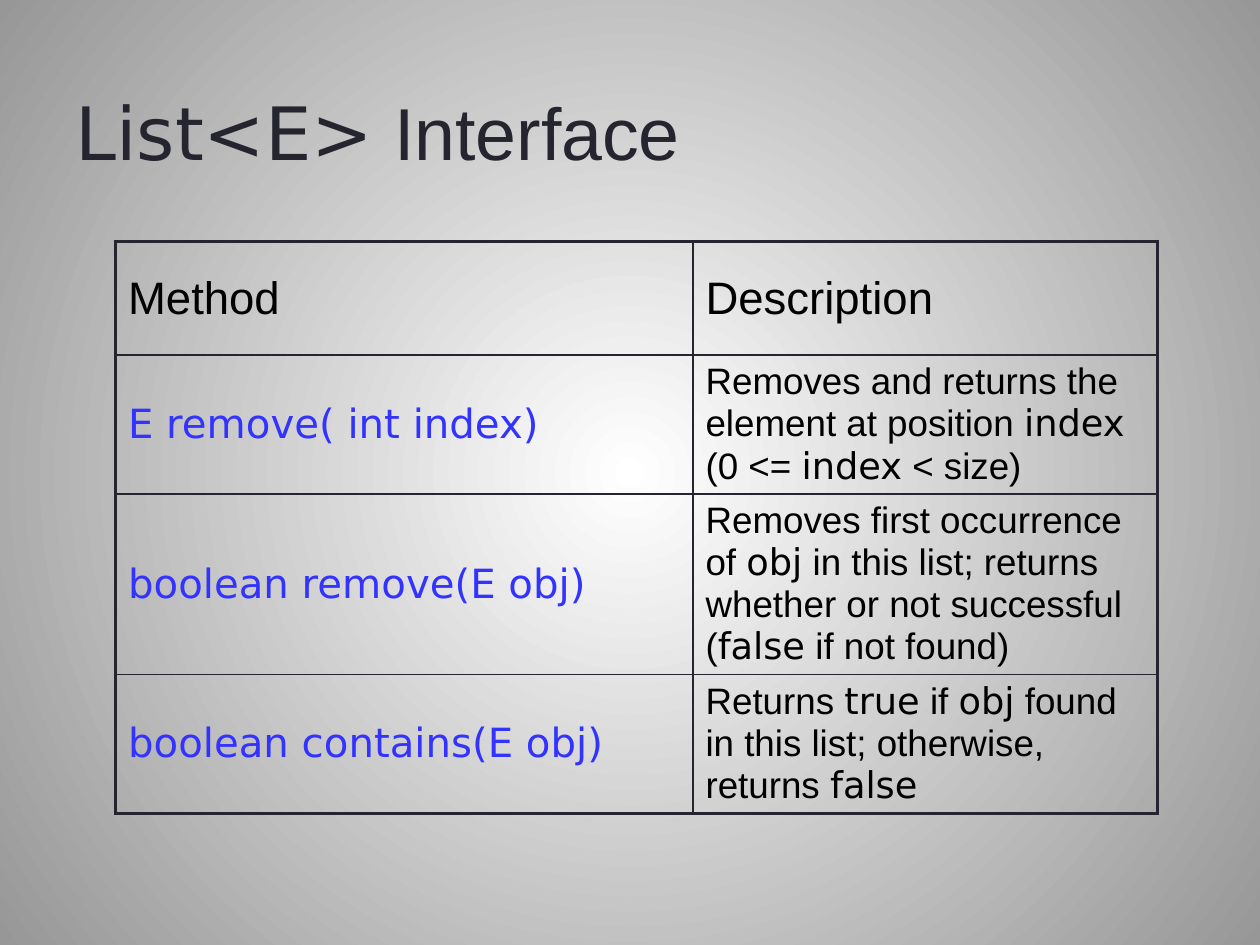
import pptx
import pptx.dml.color
import pptx.enum.text
import pptx.oxml
import pptx.oxml.ns
import pptx.util

Pt = pptx.util.Pt
RGB = pptx.dml.color.RGBColor
INK = RGB(0x25, 0x25, 0x2F)
BLACK = RGB(0, 0, 0)
BLUE = RGB(0x33, 0x33, 0xFF)
WHITE = RGB(0xFF, 0xFF, 0xFF)
GRAY = RGB(0x97, 0x97, 0x97)
SANS = "Arial"
CODE = "DejaVu Sans"
NS = pptx.oxml.ns.nsdecls("a")

ROWS = [
    ("Method", "Description"),
    ("`E remove( int index)`",
     "Removes and returns the element at position `index `\n(0 <= `index` < size)"),
    ("`boolean remove(E obj)`",
     "Removes first occurrence of `obj` in this list; returns whether or not "
     "successful (`false` if not found)"),
    ("`boolean contains(E obj)`",
     "Returns `true` if `obj` found in this list; otherwise, returns `false`"),
]


class Deck:
    """Holds the style and the current slide; backticks in text mark code."""

    def __init__(self, wide, high):
        self.prs = pptx.Presentation()
        self.prs.slide_width, self.prs.slide_height = Pt(wide), Pt(high)
        self.slide = self.prs.slides.add_slide(self.prs.slide_layouts[5])

    def glow(self, inner, outer):
        fill = self.slide.background.fill
        fill.gradient()
        for stop, color, spot in zip(fill.gradient_stops, (inner, outer), (0, 1)):
            stop.color.rgb = color
            stop.position = spot
        line = self.slide.element.find(".//" + pptx.oxml.ns.qn("a:lin"))
        ring = pptx.oxml.parse_xml(
            f'<a:path {NS} path="circle"><a:fillToRect l="50000" t="50000" '
            'r="50000" b="50000"/></a:path>')
        line.getparent().replace(line, ring)

    def label(self, para, text, size, color):
        parts = [(part, CODE if i % 2 else SANS)
                 for i, part in enumerate(text.split("`")) if part]
        para.font.size = Pt(size)
        para.font.color.rgb = color
        if len(parts) == 1:
            para.font.name = parts[0][1]
        for part, face in parts:
            if part.startswith("\n"):
                para.add_line_break()
            run = para.add_run()
            run.text = part.lstrip("\n")
            if len(parts) > 1:
                run.font.name = face

    def title(self, text, left, top, wide, high):
        shape = self.slide.shapes.title
        shape.left, shape.top = Pt(left), Pt(top)
        shape.width, shape.height = Pt(wide), Pt(high)
        frame = shape.text_frame
        frame.vertical_anchor = pptx.enum.text.MSO_ANCHOR.MIDDLE
        para = frame.paragraphs[0]
        para.alignment = pptx.enum.text.PP_ALIGN.LEFT
        self.label(para, text, 42, INK)

    def edge(self, cell, side, thick):
        cell._tc.get_or_add_tcPr().append(pptx.oxml.parse_xml(
            f'<a:ln{side} {NS} w="{Pt(thick)}"><a:solidFill>'
            f'<a:srgbClr val="{INK}"/></a:solidFill></a:ln{side}>'))

    def table(self, rows, left, top, wides, highs):
        last, end = len(rows) - 1, len(wides) - 1
        grid = self.slide.shapes.add_table(
            len(rows), len(wides), Pt(left), Pt(top),
            Pt(sum(wides)), Pt(sum(highs))).table
        grid.first_row = grid.horz_banding = False
        for col, wide in zip(grid.columns, wides):
            col.width = Pt(wide)
        for r, texts in enumerate(rows):
            grid.rows[r].height = Pt(highs[r])
            for c, text in enumerate(texts):
                cell = grid.cell(r, c)
                cell.vertical_anchor = pptx.enum.text.MSO_ANCHOR.MIDDLE
                outer = {"L": c == 0, "R": c == end, "T": r == 0, "B": r == last}
                for side, rim in outer.items():
                    self.edge(cell, side, 2.25 if rim else 1)
                cell.fill.background()
                size = 26 if r == 0 else 23 if c == 0 else 21
                color = BLUE if r and c == 0 else BLACK
                self.label(cell.text_frame.paragraphs[0], text, size, color)


def main():
    deck = Deck(720, 540)
    deck.glow(WHITE, GRAY)
    deck.title("`List<E>` Interface", 36, 15, 636, 120)
    deck.table(ROWS, 66, 138, (330, 265.5), (65, 79, 103, 79))
    deck.prs.save("out.pptx")


if __name__ == "__main__":
    main()
